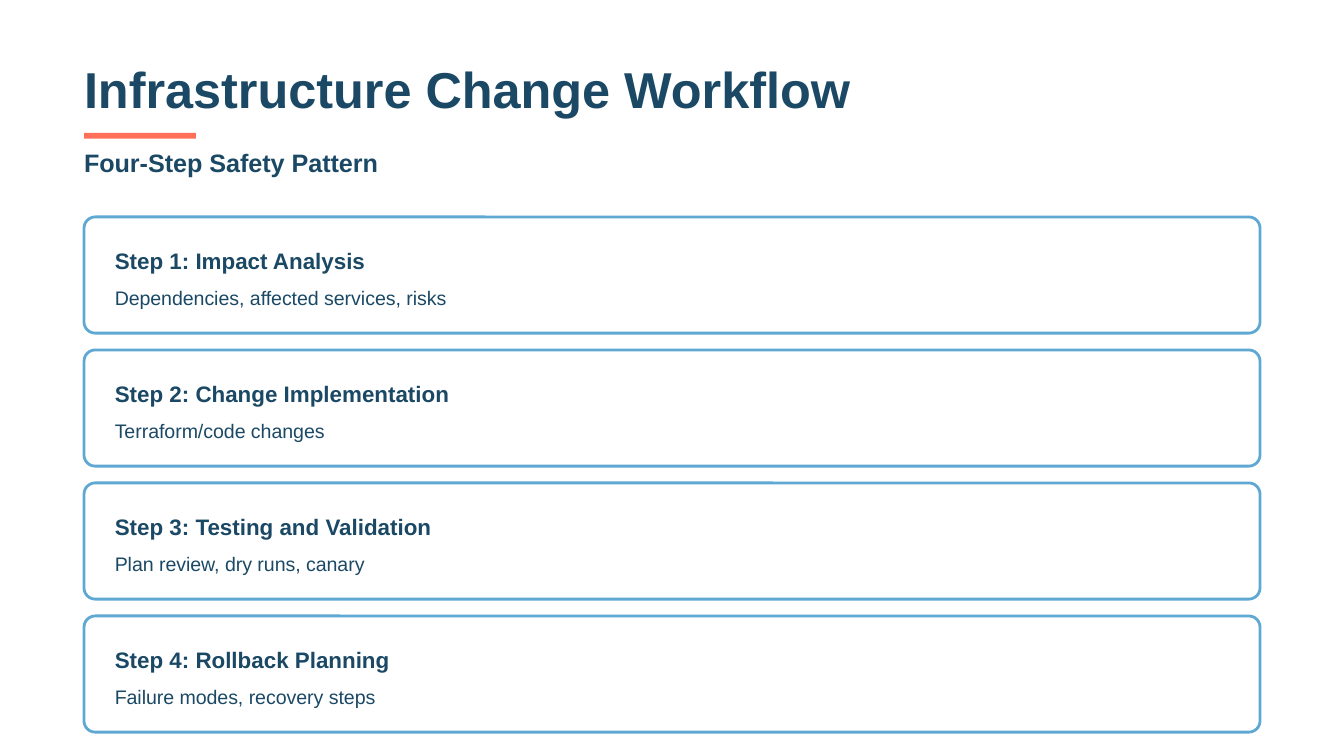
"""Build the four-step infrastructure change workflow slide."""
from dataclasses import dataclass

from pptx import Presentation
from pptx import util as u
from pptx.dml.color import RGBColor
from pptx.enum import shapes, text

TITLE = "Infrastructure Change Workflow"
LEAD = "Four-Step Safety Pattern"
STEPS = [
    ("Step 1: Impact Analysis", "Dependencies, affected services, risks"),
    ("Step 2: Change Implementation", "Terraform/code changes"),
    ("Step 3: Testing and Validation", "Plan review, dry runs, canary"),
    ("Step 4: Rollback Planning", "Failure modes, recovery steps"),
]


@dataclass(frozen=True)
class Theme:
    font: str = "Arial"
    ink: str = "1B4965"
    edge: str = "5FA8D3"
    mark: str = "FF6F59"
    card: str = "FFFFFF"
    title: tuple = (27, 30, True)
    lead: tuple = (13.5, 21, True)
    head: tuple = (12, 18, True)
    note: tuple = (10.5, 15, False)


LOOK = Theme()
UNIT = u.Inches(10) // 960
WIDE, HIGH = 960, 540
LEFT = WIDE // 16
SPAN = WIDE - 2 * LEFT
TOP, CARD, GAP = 155, 83, 12
PAD, CURVE = 22, 8


def place(*box):
    return [u.Emu(n * UNIT) for n in box]


def write(shape, words, style):
    size, line, bold = style
    frame = shape.text_frame
    frame.text = words
    frame.word_wrap = True
    frame.auto_size = text.MSO_AUTO_SIZE.NONE
    frame.vertical_anchor = text.MSO_ANCHOR.TOP
    frame.margin_left = frame.margin_right = 0
    frame.margin_top = frame.margin_bottom = 0
    para = frame.paragraphs[0]
    para.alignment = text.PP_ALIGN.LEFT
    para.space_before = u.Pt(0)
    para.line_spacing = u.Pt(line)
    font = para.runs[0].font
    font.name, font.size, font.bold = LOOK.font, u.Pt(size), bold
    font.color.rgb = RGBColor.from_string(LOOK.ink)


def label(slide, words, style, *box):
    write(slide.shapes.add_textbox(*place(*box)), words, style)


def block(slide, kind, fill, *box):
    shape = slide.shapes.add_shape(kind, *place(*box))
    shape.shadow.inherit = False
    shape.fill.solid()
    shape.fill.fore_color.rgb = RGBColor.from_string(fill)
    shape.line.fill.background()
    return shape


def step(slide, top, head, note):
    card = block(slide, shapes.MSO_SHAPE.ROUNDED_RECTANGLE, LOOK.card,
                 LEFT, top, SPAN, CARD)
    card.adjustments[0] = CURVE / CARD
    card.line.color.rgb = RGBColor.from_string(LOOK.edge)
    card.line.width = u.Pt(1.5)
    left, width = LEFT + PAD, SPAN - PAD - 6
    label(slide, head, LOOK.head, left, top + 17, width, 24)
    label(slide, note, LOOK.note, left, top + 46, width, 20)


def main():
    deck = Presentation()
    deck.slide_width, deck.slide_height = place(WIDE, HIGH)
    slide = deck.slides.add_slide(deck.slide_layouts[5])
    title = slide.shapes.title
    title.left, title.top, title.width, title.height = place(LEFT, 45, 559, 40)
    write(title, TITLE, LOOK.title)
    block(slide, shapes.MSO_SHAPE.RECTANGLE, LOOK.mark, LEFT, 95, 80, 4)
    label(slide, LEAD, LOOK.lead, LEFT, 99, 857, 28)
    for row, (head, note) in enumerate(STEPS):
        step(slide, TOP + row * (CARD + GAP), head, note)
    deck.save("out.pptx")


if __name__ == "__main__":
    main()
